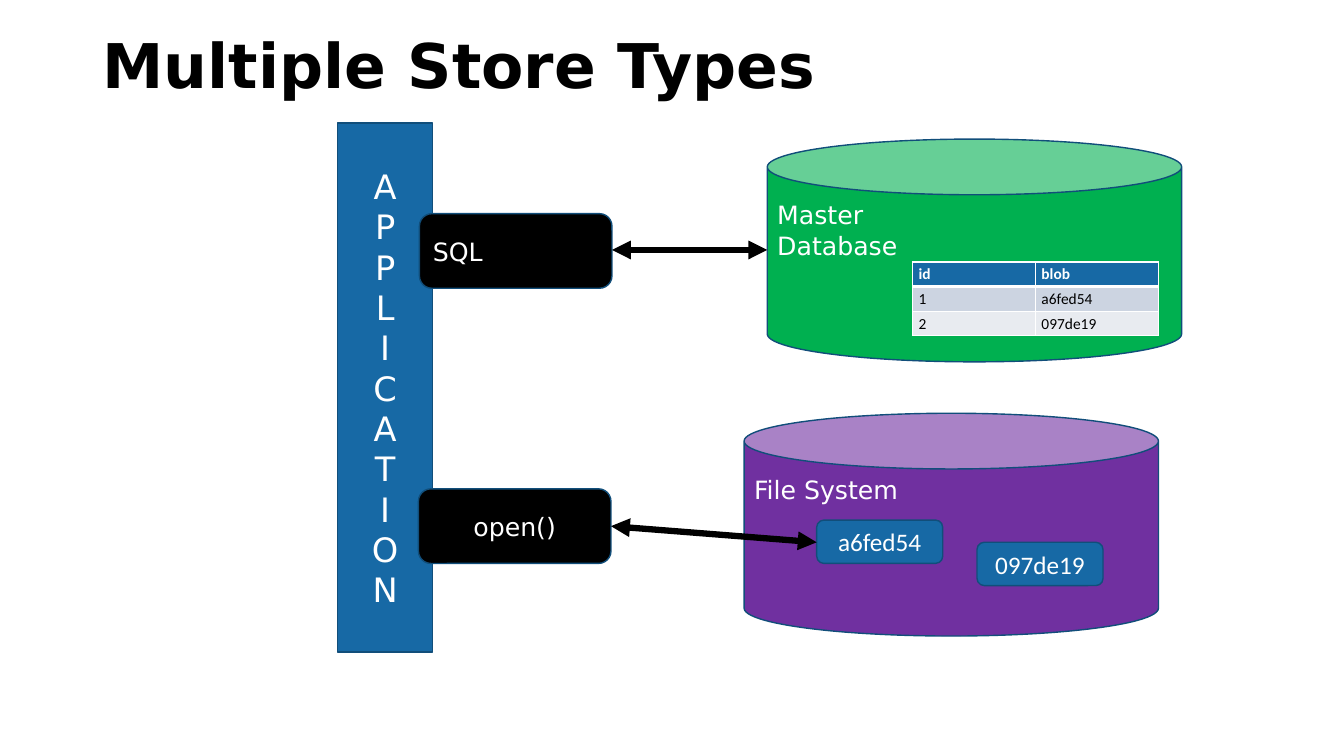
import pptx
import pptx.dml.color
import pptx.enum.shapes
import pptx.enum.text
import pptx.oxml
import pptx.oxml.ns
import pptx.util

PX = 9144
SHAPE = pptx.enum.shapes.MSO_SHAPE
ALIGN = pptx.enum.text.PP_ALIGN
ANCHOR = pptx.enum.text.MSO_ANCHOR
SANS, TABLE_FONT = "DejaVu Sans", "Calibri"
COLORS = {
    "black": "000000", "white": "FFFFFF", "blue": "1769A5", "outline": "114E7A",
    "green": "00B050", "purple": "7030A0", "band_dark": "CCD4E1", "band_light": "E8EBF0",
}


def px(*lengths):
    """Turn px lengths into EMU."""
    return [pptx.util.Emu(length * PX) for length in lengths]


def color(name):
    """Look up a named colour."""
    return pptx.dml.color.RGBColor.from_string(COLORS[name])


def write(frame, text, size=18, font=SANS, ink="white", bold=False,
          align=ALIGN.CENTER, anchor=ANCHOR.MIDDLE, spacing=None):
    """Write one paragraph per line of text in the given format."""
    frame.word_wrap = True
    frame.vertical_anchor = anchor
    frame.text = text
    for paragraph in frame.paragraphs:
        paragraph.alignment = align
        paragraph.line_spacing = spacing
        for run in paragraph.runs:
            run.font.size = pptx.util.Pt(size)
            run.font.name = font
            run.font.bold = bold
            run.font.color.rgb = color(ink)


def add_block(slide, kind, box, fill, text, **text_format):
    """Add a filled, outlined shape with its label."""
    shape = slide.shapes.add_shape(kind, *px(*box))
    shape.shadow.inherit = False
    shape.fill.solid()
    shape.fill.fore_color.rgb = color(fill)
    shape.line.color.rgb = color("outline")
    shape.line.width = pptx.util.Pt(1)
    write(shape.text_frame, text, **text_format)


def add_arrow(slide, start, end):
    """Add a thick line with a head at both ends."""
    arrow = slide.shapes.add_connector(
        pptx.enum.shapes.MSO_CONNECTOR.STRAIGHT, *px(*start, *end))
    arrow.line.color.rgb = color("black")
    arrow.line.width = pptx.util.Pt(4.5)
    line = arrow.line._get_or_add_ln()
    for tag in ("a:headEnd", "a:tailEnd"):
        line.append(pptx.oxml.parse_xml(
            f'<{tag} {pptx.oxml.ns.nsdecls("a")} type="triangle"/>'))
    arrow._element.spPr.append(pptx.oxml.parse_xml(
        f'<a:effectLst {pptx.oxml.ns.nsdecls("a")}/>'))


def add_title(slide, box):
    """Add the slide title."""
    title = slide.shapes.add_textbox(*px(*box))
    write(title.text_frame, "Multiple Store Types", size=44, ink="black",
          bold=True, align=ALIGN.LEFT, spacing=0.9)


def set_borders(cell, top, bottom):
    """Give a cell white borders, with top and bottom widths in points."""
    sides = {"L": 1, "R": 1, "T": top, "B": bottom}
    for index, (side, width) in enumerate(sides.items()):
        border = pptx.oxml.parse_xml(
            f'<a:ln{side} {pptx.oxml.ns.nsdecls("a")} w="{pptx.util.Pt(width)}">'
            f'<a:solidFill><a:srgbClr val="{COLORS["white"]}"/></a:solidFill></a:ln{side}>')
        cell._tc.get_or_add_tcPr().insert(index, border)


def add_blob_table(slide, box):
    """Add the table that maps ids to blobs."""
    rows = (("id", "blob"), ("1", "a6fed54"), ("2", "097de19"))
    fills = ("blue", "band_dark", "band_light")
    table = slide.shapes.add_table(len(rows), len(rows[0]), *px(*box)).table
    for row_index, (values, fill) in enumerate(zip(rows, fills)):
        header = row_index == 0
        for column_index, value in enumerate(values):
            cell = table.cell(row_index, column_index)
            cell.margin_left, cell.margin_right = px(6, 6)
            cell.margin_top, cell.margin_bottom = px(3, 3)
            cell.fill.solid()
            cell.fill.fore_color.rgb = color(fill)
            set_borders(cell, 3 if row_index == 1 else 1, 3 if header else 1)
            write(cell.text_frame, value, size=11, font=TABLE_FONT, bold=header,
                  ink="white" if header else "black", align=ALIGN.LEFT, anchor=ANCHOR.TOP)


def add_database(slide, box):
    """Add the database store with its table."""
    left, top, width, height = box
    add_block(slide, SHAPE.CAN, box, "green", "Master\nDatabase",
              align=ALIGN.LEFT, anchor=ANCHOR.TOP)
    add_blob_table(slide, (left + 144, top + 122, 244, 72))


def add_file_system(slide, box):
    """Add the file store with its files."""
    left, top, width, height = box
    add_block(slide, SHAPE.CAN, box, "purple", "File System",
              align=ALIGN.LEFT, anchor=ANCHOR.TOP)
    for name, across, down in (("a6fed54", 72, 106), ("097de19", 231, 128)):
        add_block(slide, SHAPE.ROUNDED_RECTANGLE, (left + across, top + down, 125, 43),
                  "blue", name, font=TABLE_FONT)


def add_application(slide, box):
    """Add the application bar with its two interfaces."""
    left, top, width, height = box
    add_block(slide, SHAPE.RECTANGLE, box, "blue", "\n".join("APPLICATION"), size=24)
    for name, across, down, align in (("SQL", 81, 90, ALIGN.LEFT),
                                      ("open()", 80, 363, ALIGN.CENTER)):
        add_block(slide, SHAPE.ROUNDED_RECTANGLE, (left + across, top + down, 191, 74),
                  "black", name, align=align)


def main():
    """Build the slide and save it."""
    presentation = pptx.Presentation()
    presentation.slide_width, presentation.slide_height = px(1333, 750)
    slide = presentation.slides.add_slide(presentation.slide_layouts[6])
    add_title(slide, (92, 27, 1150, 82))
    add_application(slide, (335, 122, 94, 525))
    add_database(slide, (761, 138, 411, 221))
    add_file_system(slide, (738, 410, 411, 221))
    add_arrow(slide, (761, 248), (607, 248))
    add_arrow(slide, (810, 538), (606, 522))
    presentation.save("out.pptx")


if __name__ == "__main__":
    main()
